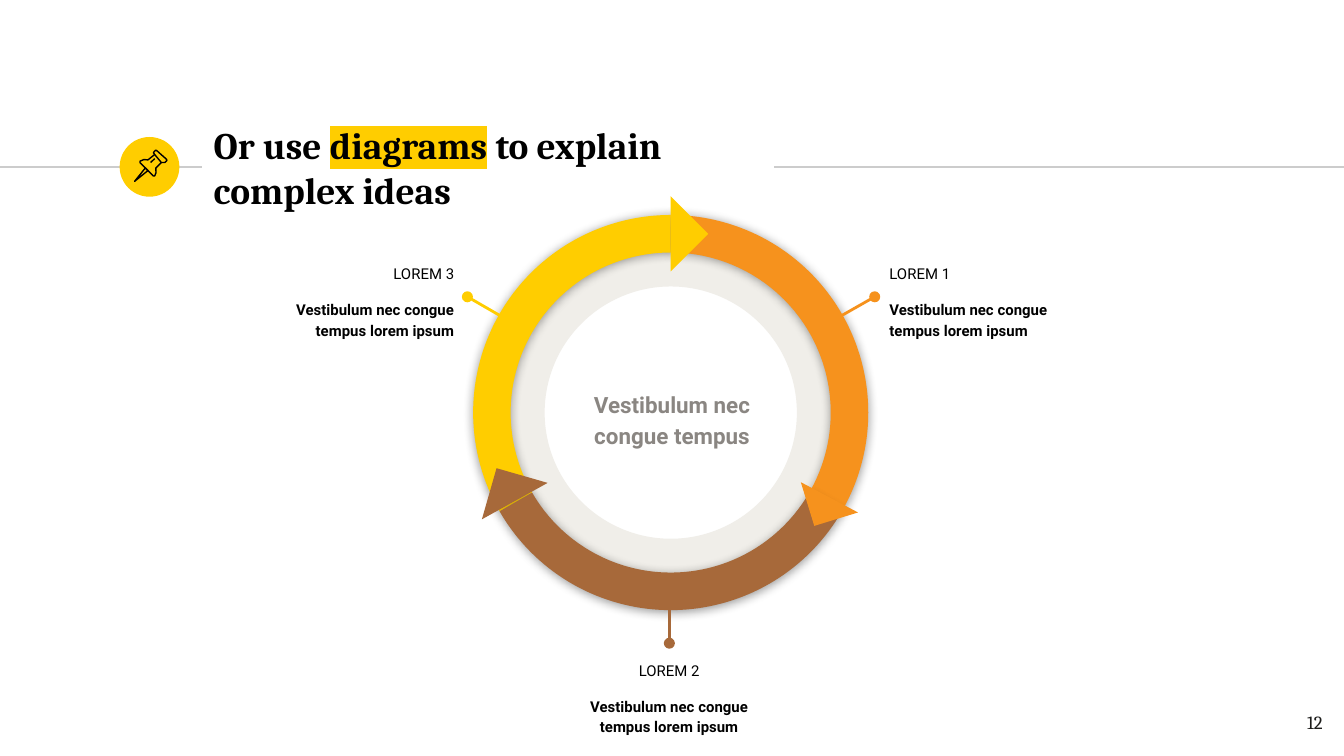
import dataclasses

import lxml.etree
import pptx
import pptx.dml.color
import pptx.enum.shapes
import pptx.enum.text
import pptx.oxml
import pptx.oxml.ns
import pptx.util

Pt = pptx.util.Pt
qn = pptx.oxml.ns.qn
Align = pptx.enum.text.PP_ALIGN
Anchor = pptx.enum.text.MSO_ANCHOR
Shape = pptx.enum.shapes.MSO_SHAPE


@dataclasses.dataclass(frozen=True)
class Theme:
    yellow: str = "FFCD00"
    orange: str = "F6921D"
    brown: str = "A7693A"
    track: str = "F0EEE9"
    rule: str = "CCCCCC"
    black: str = "000000"
    page: str = "1D1D1B"
    muted: str = "8A8682"
    heading_font: str = "Cambria"
    body_font: str = "Roboto"
    title_size: float = 20
    center_size: float = 12
    page_size: float = 10
    label_size: float = 8
    line_spacing: float = 1.15
    thin: float = 0.75
    stroke: float = 1.5


THEME = Theme()


def rgb(color):
    return pptx.dml.color.RGBColor.from_string(color)


def add_run(paragraph, text, font, size, color, bold=False, highlight=None):
    run = paragraph.add_run()
    run.text = text
    run.font.name = font
    run.font.size = Pt(size)
    run.font.bold = bold
    run.font.color.rgb = rgb(color)
    if highlight:
        mark = lxml.etree.Element(qn("a:highlight"))
        lxml.etree.SubElement(mark, qn("a:srgbClr"), val=highlight)
        run.font._element.find(qn("a:solidFill")).addnext(mark)


def prepare_frame(frame, anchor=Anchor.TOP):
    frame.word_wrap = True
    frame.auto_size = pptx.enum.text.MSO_AUTO_SIZE.NONE
    frame.vertical_anchor = anchor
    frame.margin_left = frame.margin_right = Pt(7.2)
    frame.margin_top = frame.margin_bottom = Pt(7.2)
    return frame


def add_text_frame(shapes, box, anchor=Anchor.TOP):
    return prepare_frame(shapes.add_textbox(*map(Pt, box)).text_frame, anchor)


def add_filled(shapes, kind, box, color, rotation=0):
    shape = shapes.add_shape(kind, *map(Pt, box))
    shape.shadow.inherit = False
    shape.fill.solid()
    shape.fill.fore_color.rgb = rgb(color)
    shape.line.fill.background()
    shape.rotation = rotation
    return shape


def add_line(shapes, start, end, color, width, dot=False):
    line = shapes.add_connector(
        pptx.enum.shapes.MSO_CONNECTOR.STRAIGHT, *map(Pt, (*start, *end)))
    line.line.color.rgb = rgb(color)
    line.line.width = Pt(width)
    if dot:
        lxml.etree.SubElement(line.line._get_or_add_ln(), qn("a:headEnd"), type="oval")
    lxml.etree.SubElement(line._element.spPr, qn("a:effectLst"))


def add_soft_shadow(shape):
    effects = shape._element.spPr.find(qn("a:effectLst"))
    shadow = lxml.etree.SubElement(
        effects, qn("a:outerShdw"), blurRad=str(Pt(5.6)), dist=str(Pt(0.8)),
        dir="5400000", algn="bl", rotWithShape="0")
    color = lxml.etree.SubElement(shadow, qn("a:srgbClr"), val=THEME.black)
    lxml.etree.SubElement(color, qn("a:alpha"), val="40000")


def add_pin(shapes, left, top):
    needle = [(13.8, 16.6), (8, 23.8), (15.2, 18)]
    cap = [(18.8, 9.4), (22.4, 13.7), (24.2, 13.7), (25.3, 12.7), (25.2, 12),
           (19.8, 7.2), (19.1, 7.2), (18.1, 8.4)]
    body = [(18.8, 9.4), (15.2, 12.3), (13, 12.1), (10.9, 13), (10.9, 13.7),
            (18.1, 20.9), (18.8, 20.9), (19.5, 19.2), (19.4, 16.6), (22.4, 13.7)]
    glint = [(16.6, 13.7), (18.8, 11.6)]
    group = shapes.add_group_shape()
    for outline, close in ((needle, True), (cap, True), (body, False), (glint, False)):
        points = [(Pt(left + x), Pt(top + y)) for x, y in outline]
        builder = group.shapes.build_freeform(*points[0])
        builder.add_line_segments(points[1:], close=close)
        part = builder.convert_to_shape()
        part.shadow.inherit = False
        part.fill.background()
        part.line.color.rgb = rgb(THEME.black)
        part.line.width = Pt(THEME.thin)


def add_header(slide, box):
    left, top, width, height = box
    middle = top + height / 2
    badge = 32
    badge_left, badge_top = left - 43.2, middle - badge / 2
    for start, end in ((0, left + 0.8), (left + width + 1.5, 720)):
        add_line(slide.shapes, (start, middle), (end, middle), THEME.rule, THEME.thin)
    add_filled(slide.shapes, Shape.OVAL, (badge_left, badge_top, badge, badge), THEME.yellow)
    add_pin(slide.shapes, badge_left, badge_top)

    title = slide.shapes.title
    title.left, title.top, title.width, title.height = map(Pt, box)
    paragraph = prepare_frame(title.text_frame, Anchor.MIDDLE).paragraphs[0]
    paragraph.alignment = Align.LEFT
    for text, highlight in (("Or use ", None), ("diagrams", THEME.yellow),
                            (" to explain complex ideas", None)):
        add_run(paragraph, text, THEME.heading_font, THEME.title_size,
                THEME.black, True, highlight)


def add_cycle(slide, box):
    left, top, size, _ = box
    inset = 6.2
    ring = (left + inset, top + inset, size - 2 * inset, size - 2 * inset)
    add_filled(slide.shapes, Shape.DONUT, ring, THEME.track).adjustments[0] = 0.161

    for start, color in ((270, THEME.orange), (150, THEME.yellow), (30, THEME.brown)):
        arc = add_filled(slide.shapes, Shape.BLOCK_ARC, box, color)
        for index, angle in enumerate((start, (start + 120) % 360)):
            arc.adjustments[index] = angle * 0.6  # 60000ths of a degree over 100000
        arc.adjustments[2] = 0.095
        add_soft_shadow(arc)

    for x, y, side, rotation, color in ((91.5, -4.2, 28.5, 225, THEME.yellow),
                                        (178.6, 139, 24.5, 342.9, THEME.orange),
                                        (8, 139, 28.5, 106, THEME.brown)):
        add_filled(slide.shapes, Shape.RIGHT_TRIANGLE,
                   (left + x, top + y, side, side), color, rotation)

    width, height = 114, 63.4
    center = (left + (size - width) / 2 + 0.7, top + (size - height) / 2 + 2.8, width, height)
    paragraph = add_text_frame(slide.shapes, center, Anchor.MIDDLE).paragraphs[0]
    paragraph.alignment = Align.CENTER
    paragraph.line_spacing = THEME.line_spacing
    add_run(paragraph, "Vestibulum nec congue tempus", THEME.body_font,
            THEME.center_size, THEME.muted, True)


def add_callout(slide, box, label, alignment, color, dot, end):
    shapes = slide.shapes.add_group_shape().shapes
    add_line(shapes, dot, end, color, THEME.stroke, dot=True)
    frame = add_text_frame(shapes, box)
    heading, detail = frame.paragraphs[0], frame.add_paragraph()
    detail.space_before = Pt(8.5)
    for paragraph, text, bold in (
            (heading, label, False),
            (detail, "Vestibulum nec congue tempus lorem ipsum", True)):
        paragraph.alignment = alignment
        paragraph.line_spacing = THEME.line_spacing
        add_run(paragraph, text, THEME.body_font, THEME.label_size, THEME.black, bold)


def add_page_number(slide, box):
    paragraph = add_text_frame(slide.shapes, box).paragraphs[0]
    paragraph.alignment = Align.RIGHT
    add_run(paragraph, "12", THEME.heading_font, THEME.page_size, THEME.page)


def main():
    presentation = pptx.Presentation()
    presentation.slide_width, presentation.slide_height = Pt(720), Pt(405)
    slide = presentation.slides.add_slide(presentation.slide_layouts[5])
    add_header(slide, (107.3, 72.1, 306, 34.6))
    add_cycle(slide, (253.5, 115.2, 211.7, 211.7))
    for left, top, label, alignment, color, dot, end in (
            (132.5, 133.2, "LOREM 3", Align.RIGHT, THEME.yellow, (250.4, 159), (284, 178.4)),
            (469.4, 133.2, "LOREM 1", Align.LEFT, THEME.orange, (468.6, 159), (434.5, 178.4)),
            (299.5, 345.6, "LOREM 2", Align.CENTER, THEME.brown, (358.6, 344.6), (358.6, 308.2))):
        # The leader stops at the outer edge of the ring or just inside it.
        add_callout(slide, (left, top, 118, 52.6), label, alignment, color, dot, end)
    add_page_number(slide, (672.5, 373.7, 43.2, 31))
    presentation.save("out.pptx")


if __name__ == "__main__":
    main()
